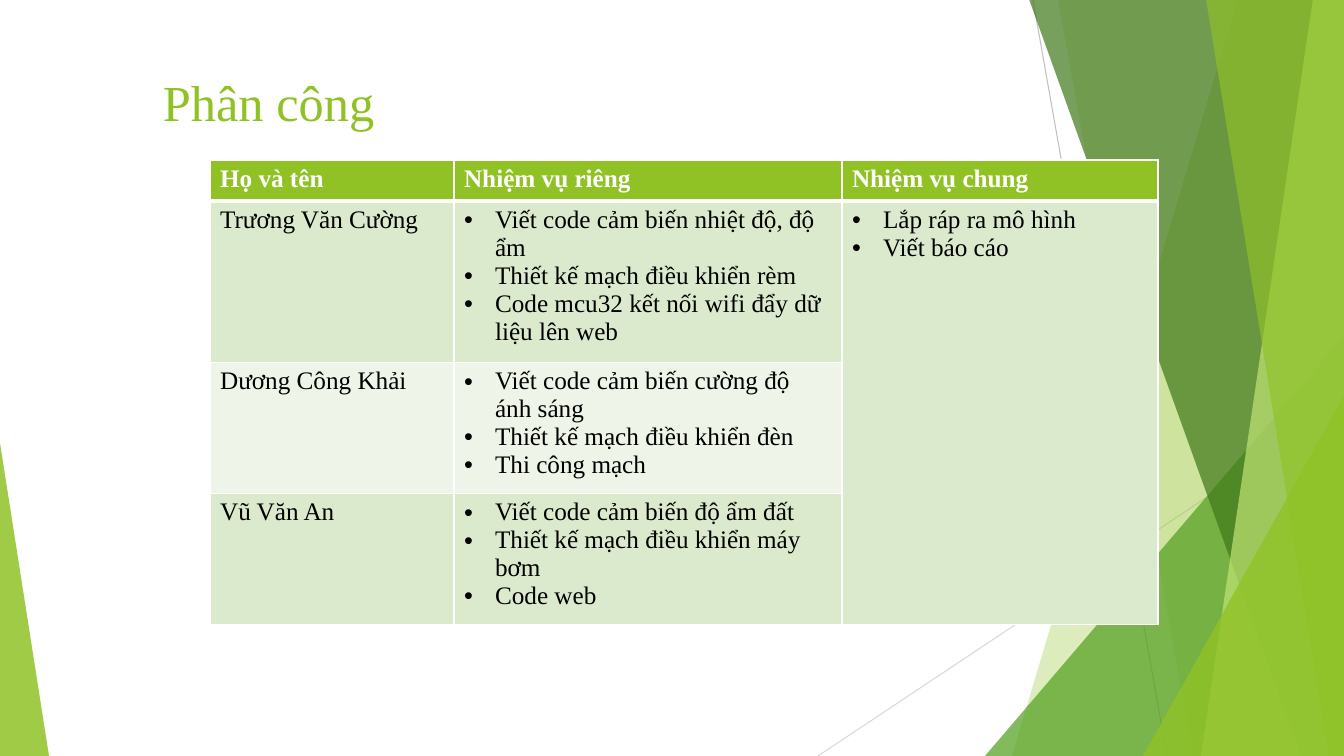
from lxml.etree import SubElement
from pptx import Presentation
from pptx.dml.color import RGBColor
from pptx.enum.shapes import MSO_CONNECTOR, MSO_SHAPE
from pptx.enum.text import MSO_ANCHOR
from pptx.oxml.ns import qn
from pptx.util import Pt

PX = 914400 / 100.8
WIDTH, HEIGHT = 1344, 756
FONT = "Times New Roman"

WHITE = RGBColor(0xFF, 0xFF, 0xFF)
BLACK = RGBColor(0x00, 0x00, 0x00)
LIME = RGBColor(0x90, 0xC2, 0x26)
GREEN = RGBColor(0x54, 0xA0, 0x21)
DARK_GREEN = RGBColor(0x3F, 0x78, 0x19)
PALE_LIME = RGBColor(0xC0, 0xE4, 0x74)
GRAY = RGBColor(0xBF, 0xBF, 0xBF)
LIGHT_GRAY = RGBColor(0xD9, 0xD9, 0xD9)
ROW_FILLS = [LIME, RGBColor(0xDB, 0xE9, 0xCD), RGBColor(0xEE, 0xF4, 0xE8),
             RGBColor(0xDB, 0xE9, 0xCD)]

COL_WIDTHS = [244, 388, 316]
MIN_ROW_HEIGHT = 41
TABLE_HEIGHT = 465
HEADERS = ["Họ và tên", "Nhiệm vụ riêng", "Nhiệm vụ chung"]
MEMBERS = [
    ("Trương Văn Cường", ["Viết code cảm biến nhiệt độ, độ ẩm",
                          "Thiết kế mạch điều khiển rèm",
                          "Code mcu32 kết nối wifi đẩy dữ liệu lên web"]),
    ("Dương Công Khải", ["Viết code cảm biến cường độ ánh sáng",
                         "Thiết kế mạch điều khiển đèn",
                         "Thi công mạch"]),
    ("Vũ Văn An", ["Viết code cảm biến độ ẩm đất",
                   "Thiết kế mạch điều khiển máy bơm",
                   "Code web"]),
]
SHARED_TASKS = ["Lắp ráp ra mô hình", "Viết báo cáo"]


def px(n):
    return round(n * PX)


def paint(sp, color, opacity):
    """Fill a shape with a see-through colour, without outline or shadow."""
    sp.shadow.inherit = False
    sp.line.fill.background()
    sp.fill.solid()
    sp.fill.fore_color.rgb = color
    clr = sp.fill._xPr.find(qn("a:solidFill"))[0]
    SubElement(clr, qn("a:alpha"), val=str(opacity * 1000))


def add_line(s, x1, y1, x2, y2, color):
    cxn = s.shapes.add_connector(MSO_CONNECTOR.STRAIGHT,
                                 px(x1), px(y1), px(x2), px(y2))
    cxn.line.color.rgb = color
    cxn.line.width = Pt(0.75)
    SubElement(cxn._element.spPr, qn("a:effectLst"))


def add_band(s, top_x, bottom_x, color, opacity):
    """Add a full-height band from a slanted left edge to the slide's right."""
    builder = s.shapes.build_freeform(top_x, -1, scale=PX)
    builder.add_line_segments(
        [(WIDTH, -1), (WIDTH, HEIGHT), (bottom_x, HEIGHT)], close=True)
    paint(builder.convert_to_shape(), color, opacity)


def add_triangle(s, x, y, w, apex, color, opacity):
    """Add a triangle standing on the slide's bottom edge."""
    sp = s.shapes.add_shape(MSO_SHAPE.ISOSCELES_TRIANGLE,
                            px(x), px(y), px(w), px(HEIGHT - y))
    sp.adjustments[0] = apex
    paint(sp, color, opacity)


def format_run(r, size, color, bold=False):
    r.font.name = FONT
    r.font.size = Pt(size)
    r.font.color.rgb = color
    r.font.bold = bold


def add_title(s, text):
    tf = s.shapes.add_textbox(px(78), px(66), px(948), px(145)).text_frame
    tf.word_wrap = True
    tf.vertical_anchor = MSO_ANCHOR.TOP
    tf.margin_left = px(85)
    tf.text = text
    format_run(tf.paragraphs[0].runs[0], 36, LIME)


def add_bullet(p):
    pPr = p._p.get_or_add_pPr()
    pPr.set("marL", str(px(31)))
    pPr.set("indent", str(-px(31)))
    SubElement(pPr, qn("a:buFont"), typeface="Arial")
    SubElement(pPr, qn("a:buChar"), char="•")


def set_borders(cell, top, bottom):
    tcPr = cell._tc.get_or_add_tcPr()
    for side, width in (("L", 1), ("R", 1), ("T", top), ("B", bottom)):
        ln = SubElement(tcPr, qn(f"a:ln{side}"), w=str(Pt(width)))
        fill = SubElement(ln, qn("a:solidFill"))
        SubElement(fill, qn("a:srgbClr"), val=str(WHITE))


def fill_cell(cell, lines, color, bold, bulleted):
    cell.text_frame.text = "\n".join(lines)
    for p in cell.text_frame.paragraphs:
        if bulleted:
            add_bullet(p)
        for r in p.runs:
            format_run(r, 18, color, bold)


def add_task_table(s):
    frame = s.shapes.add_table(
        len(ROW_FILLS), len(COL_WIDTHS), px(210), px(160),
        px(sum(COL_WIDTHS)), px(TABLE_HEIGHT))
    table = frame.table
    table.first_row = table.horz_banding = False
    for col, w in zip(table.columns, COL_WIDTHS):
        col.width = px(w)
    for i, color in enumerate(ROW_FILLS):
        table.rows[i].height = px(MIN_ROW_HEIGHT)
        for cell in table.rows[i].cells:
            set_borders(cell, 3 if i == 1 else 1, 3 if i == 0 else 1)
            cell.fill.solid()
            cell.fill.fore_color.rgb = color
    frame.height = px(TABLE_HEIGHT)
    table.cell(1, 2).merge(table.cell(len(MEMBERS), 2))

    for j, header in enumerate(HEADERS):
        fill_cell(table.cell(0, j), [header], WHITE, True, False)
    for i, (name, tasks) in enumerate(MEMBERS, 1):
        fill_cell(table.cell(i, 0), [name], BLACK, False, False)
        fill_cell(table.cell(i, 1), tasks, BLACK, False, True)
    fill_cell(table.cell(1, 2), SHARED_TASKS, BLACK, False, True)


def add_facets(s):
    add_line(s, 1033, 0, 1167, HEIGHT, GRAY)
    add_line(s, WIDTH, 406, 818, HEIGHT, LIGHT_GRAY)
    add_band(s, 1238, 1012, LIME, 30)
    add_band(s, 1058, 1193, LIME, 20)
    add_triangle(s, 985, 336, 359, 1, GREEN, 72)
    add_band(s, 1029, 1301, DARK_GREEN, 70)
    add_band(s, 1313, 1201, PALE_LIME, 70)
    add_band(s, 1206, 1329, LIME, 65)
    add_triangle(s, 1143, 396, 201, 1, LIME, 80)
    add_triangle(s, 0, 443, 49, 0, LIME, 85)


def main():
    prs = Presentation()
    prs.slide_width, prs.slide_height = px(WIDTH), px(HEIGHT)
    s = prs.slides.add_slide(prs.slide_layouts[6])
    add_facets(s)
    add_title(s, "Phân công")
    add_task_table(s)
    prs.save("out.pptx")


if __name__ == "__main__":
    main()
